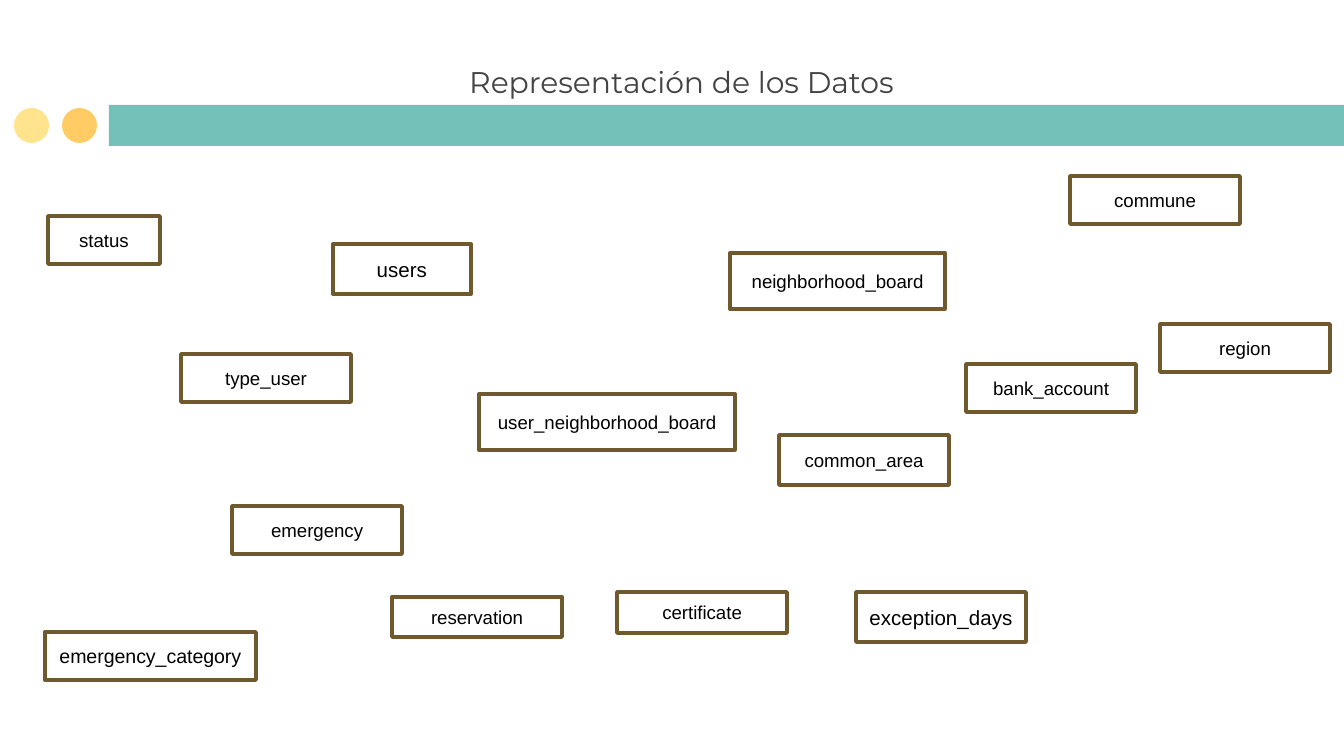
from pptx import Presentation
from pptx.dml.color import RGBColor
from pptx.enum.shapes import MSO_SHAPE as Shape
from pptx.enum.text import MSO_ANCHOR as Anchor, PP_ALIGN as Align
from pptx.util import Pt

EMU_PER_PX = 914400 / 134.4
BOX_WIDTH, BOX_HEIGHT = 170, 48

TITLE = "Representación de los Datos"
DECORATIONS = [
    (Shape.RECTANGLE, 109, 105, 1277, 41, "74C1B9"),
    (Shape.OVAL, 62, 108, 35, 35, "FFCB64"),
    (Shape.OVAL, 14, 108, 35, 35, "FFE48D"),
]
TABLES = [
    {"name": "status", "at": (48, 216), "width": 112},
    {"name": "emergency_category", "at": (45, 632), "width": 211, "size": 10.5},
    {"name": "type_user", "at": (181, 354)},
    {"name": "emergency", "at": (232, 506)},
    {"name": "certificate", "at": (617, 592), "height": 41},
    {"name": "common_area", "at": (779, 435), "height": 50},
    {"name": "reservation", "at": (392, 597), "height": 40},
    {"name": "exception_days", "at": (856, 592), "height": 50, "size": 11},
    {"name": "bank_account", "at": (966, 364)},
    {"name": "region", "at": (1160, 324)},
    {"name": "commune", "at": (1070, 176)},
    {"name": "user_neighborhood_board", "at": (479, 394), "width": 256, "height": 56},
    {"name": "neighborhood_board", "at": (730, 253), "width": 215, "height": 56},
    {"name": "users", "at": (333, 244), "width": 138, "height": 50, "size": 11},
]


def px(length):
    return round(length * EMU_PER_PX)


def color(value):
    return RGBColor.from_string(value)


def add_shape(page, kind, left, top, width, height):
    shape = page.shapes.add_shape(kind, px(left), px(top), px(width), px(height))
    shape.shadow.inherit = False
    return shape


def write(box, text, font="Arial", size=10, fill="000000", align=Align.CENTER):
    para = box.text_frame.paragraphs[0]
    para.alignment = align
    span = para.add_run()
    span.text = text
    span.font.name = font
    span.font.size = Pt(size)
    span.font.color.rgb = color(fill)


def add_entity(page, name, at, width=BOX_WIDTH, height=BOX_HEIGHT, size=10):
    box = add_shape(page, Shape.RECTANGLE, *at, width, height)
    box.fill.background()
    box.line.color.rgb = color("70592C")
    box.line.width = Pt(2)
    frame = box.text_frame
    frame.word_wrap = True
    frame.vertical_anchor = Anchor.MIDDLE
    frame.margin_left = frame.margin_right = 0
    write(box, name, size=size)


def main():
    deck = Presentation()
    deck.slide_width, deck.slide_height = px(1344), px(756)
    page = deck.slides.add_slide(deck.slide_layouts[6])

    for kind, left, top, width, height, fill in DECORATIONS:
        shape = add_shape(page, kind, left, top, width, height)
        shape.fill.solid()
        shape.fill.fore_color.rgb = color(fill)
        shape.line.fill.background()

    title = page.shapes.add_textbox(px(456), px(57), px(515), px(50))
    title.text_frame.word_wrap = True
    write(title, TITLE, font="Montserrat", size=16, fill="434343", align=Align.LEFT)

    for table in TABLES:
        add_entity(page, **table)

    deck.save("out.pptx")


if __name__ == "__main__":
    main()
